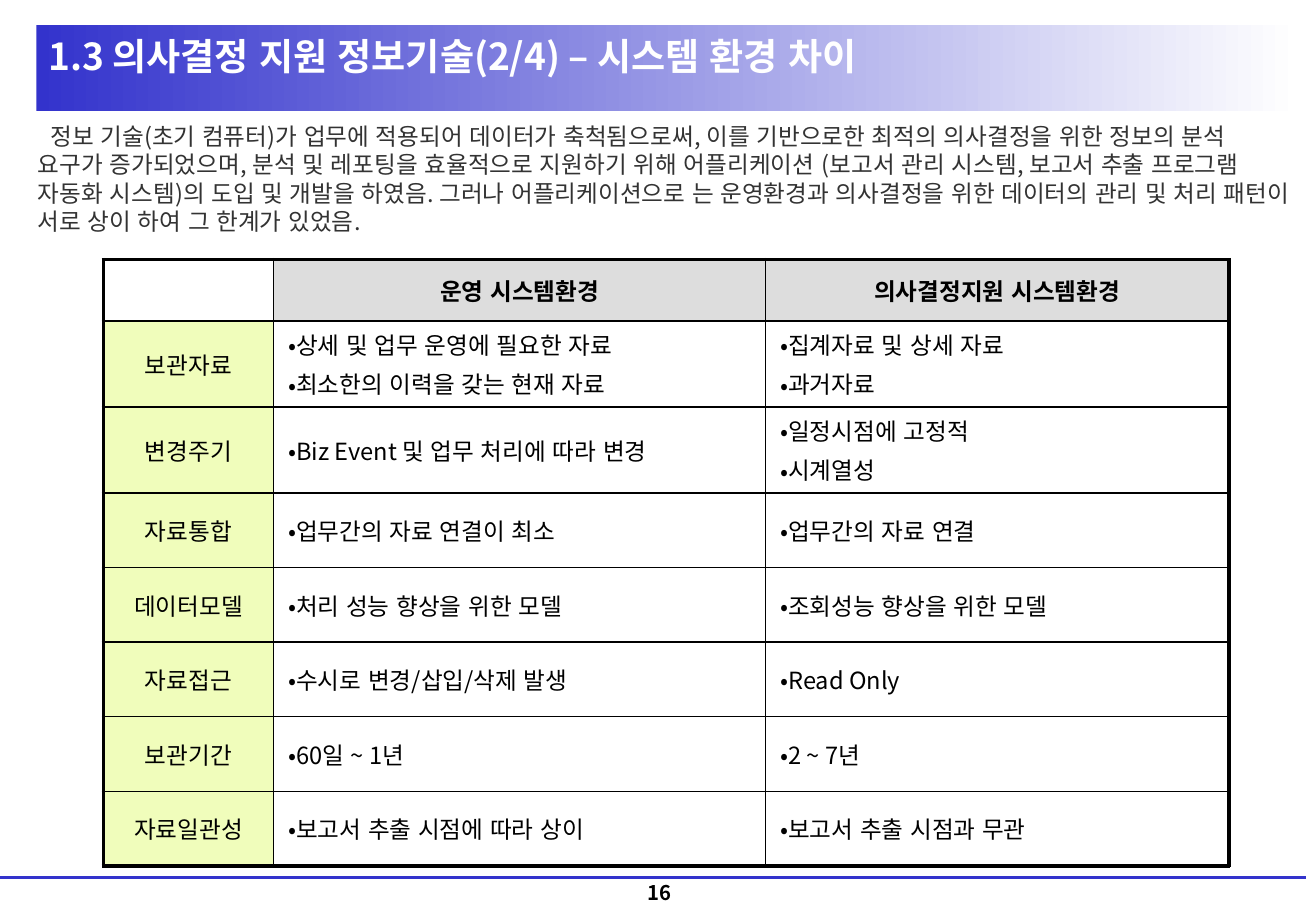
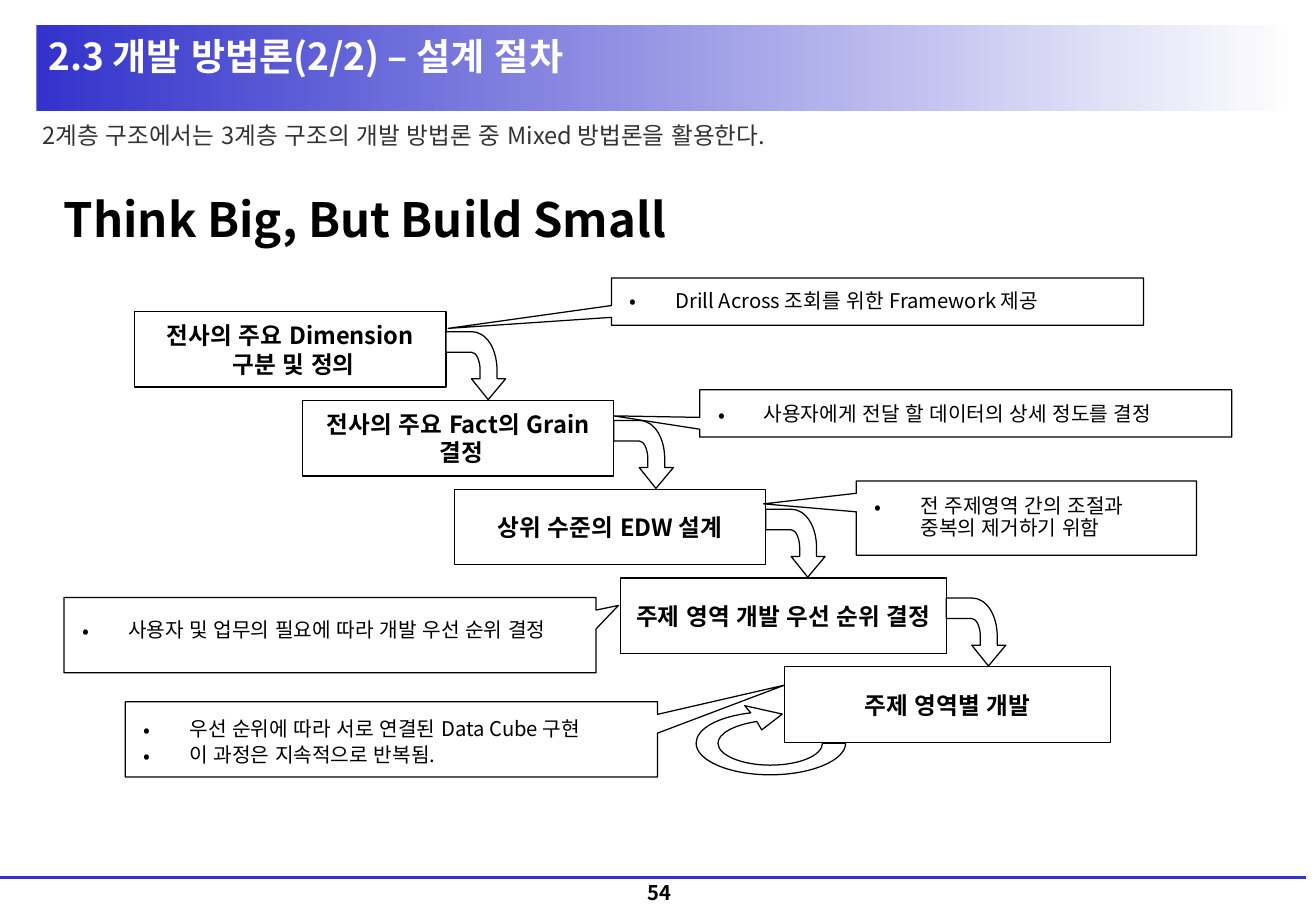
from collections import namedtuple
from dataclasses import dataclass

from lxml import etree
from pptx import Presentation
from pptx.dml.color import RGBColor
from pptx.enum import lang, shapes, text
from pptx.oxml import ns
from pptx.util import Pt

Box = namedtuple("Box", "x y w h")


@dataclass(frozen=True)
class Theme:
    font: str = "Noto Sans CJK KR"
    accent: str = "3333CC"
    paper: str = "FFFFFF"
    ink: str = "000000"
    body_ink: str = "333333"
    head_fill: str = "DDDDDD"
    label_fill: str = "F0FDBB"
    title: float = 22
    slogan: float = 28
    body: float = 14
    small: float = 12
    thin: float = 0.75
    grid: float = 1
    outer: float = 2.25


T = Theme()
LEFT, CENTER = text.PP_ALIGN.LEFT, text.PP_ALIGN.CENTER
TOP, MIDDLE, BOTTOM = (text.MSO_ANCHOR.TOP, text.MSO_ANCHOR.MIDDLE,
                       text.MSO_ANCHOR.BOTTOM)


def rgb(value):
    return RGBColor.from_string(value)


def pts(*values):
    return [Pt(v) for v in values]


def add_xml(parent, tag, **attributes):
    return etree.SubElement(parent, ns.qn(tag), attributes)


# ---- Text and shape helpers ----
def write(frame, lines, size, color=T.ink, bold=False, align=LEFT, anchor=TOP,
          inset=(7.2, 3.6, 7.2, 3.6), wrap=True, leading=None, gap=0,
          bullet=False, left=0, first=0):
    frame.text = "\n".join(lines)
    frame.word_wrap = wrap
    frame.vertical_anchor = anchor
    (frame.margin_left, frame.margin_top,
     frame.margin_right, frame.margin_bottom) = pts(*inset)
    for i, paragraph in enumerate(frame.paragraphs):
        properties = paragraph._p.get_or_add_pPr()
        properties.set("marL", str(Pt(left)))
        properties.set("indent", str(Pt(first)))
        if bullet:
            add_xml(properties, "a:buFont", typeface=T.font)
            add_xml(properties, "a:buChar", char="•")
        paragraph.alignment = align
        if leading:
            paragraph.line_spacing = Pt(leading)
        if i and gap:
            paragraph.space_before = Pt(gap)
        for run in paragraph.runs:
            run.font.size, run.font.bold = Pt(size), bold
            run.font.color.rgb = rgb(color)
            run.font.name = T.font
            run.font.language_id = lang.MSO_LANGUAGE_ID.KOREAN
            add_xml(run._r.get_or_add_rPr(), "a:ea", typeface=T.font)


def add_text(slide, box, lines, size, **style):
    write(slide.shapes.add_textbox(*pts(*box)).text_frame, lines, size, **style)


def outline(shape):
    shape.shadow.inherit = False
    shape.fill.solid()
    shape.fill.fore_color.rgb = rgb(T.paper)
    shape.line.color.rgb = rgb(T.ink)
    shape.line.width = Pt(T.thin)


def add_outlined(slide, kind, box):
    shape = slide.shapes.add_shape(kind, *pts(*box))
    outline(shape)
    return shape


def add_curve(slide, x, y, steps):
    """Draw a closed outline; six numbers in a step make a Bezier curve."""
    points = [(Pt(x + step[k]), Pt(y + step[k + 1]))
              for step in steps for k in range(0, len(step), 2)]
    builder = slide.shapes.build_freeform(*points[0], scale=1.0)
    builder.add_line_segments(points[1:], close=True)
    shape = builder.convert_to_shape()
    outline(shape)
    # Join the three points of each curve into one segment
    segments = iter(shape._element.findall(".//" + ns.qn("a:lnTo")))
    for step in steps[1:]:
        segment = next(segments)
        if len(step) == 6:
            segment.tag = ns.qn("a:cubicBezTo")
            for _ in range(2):
                extra = next(segments)
                segment.append(extra[0])
                extra.getparent().remove(extra)


# ---- Shared frame: title band, introduction, footer ----
def add_frame(deck, title, number, intro, intro_box):
    slide = deck.slides.add_slide(deck.slide_layouts[6])
    band = slide.shapes.add_shape(shapes.MSO_SHAPE.RECTANGLE, *pts(21.6, 15, 749, 51))
    band.shadow.inherit = False
    band.line.fill.background()
    band.fill.gradient()
    band.fill.gradient_angle = 0
    for stop, color in zip(band.fill.gradient_stops, (T.accent, T.paper)):
        stop.color.rgb = rgb(color)

    add_text(slide, Box(309.3, 519, 163, 21), [number], T.small, bold=True,
             align=CENTER, anchor=BOTTOM)
    rule = slide.shapes.add_connector(shapes.MSO_CONNECTOR.STRAIGHT, *pts(774, 520, 0, 520))
    rule.line.color.rgb = rgb(T.accent)
    rule.line.width = Pt(1.5)
    add_xml(rule._element.spPr, "a:effectLst")

    add_text(slide, Box(21.6, 16, 626, 34.5), [title], T.title, color=T.paper,
             bold=True, anchor=MIDDLE)
    add_text(slide, intro_box, [intro], T.body, color=T.body_ink,
             inset=(0, 0, 0, 0), leading=16.8, first=7.5)
    return slide


# ---- Comparison table ----
def add_borders(cell, row, column, last_row, last_column):
    properties = cell._tc.get_or_add_tcPr()
    edges = {"L": column == 0, "R": column == last_column,
             "T": row == 0, "B": row == last_row}
    for i, (side, is_outer) in enumerate(edges.items()):
        width = T.outer if is_outer else T.grid
        line = add_xml(properties, f"a:ln{side}", w=str(Pt(width)))
        add_xml(add_xml(line, "a:solidFill"), "a:srgbClr", val=T.ink)
        properties.insert(i, line)


def add_comparison(slide, box, rows, widths, heights):
    table = slide.shapes.add_table(len(rows), len(widths), *pts(*box)).table
    table.first_row = table.horz_banding = False
    for column, width in zip(table.columns, widths):
        column.width = Pt(width)
    for r, (row, height) in enumerate(zip(rows, heights)):
        table.rows[r].height = Pt(height)
        for c, content in enumerate(row):
            cell = table.cell(r, c)
            is_head, is_label = r == 0, c == 0
            write(cell.text_frame, content.split("\n"), T.body, bold=is_head,
                  align=CENTER if is_head or is_label else LEFT, gap=2.8,
                  bullet=not (is_head or is_label))
            cell.vertical_anchor = MIDDLE
            (cell.margin_left, cell.margin_top,
             cell.margin_right, cell.margin_bottom) = pts(8.6, 3.6, 8.6, 3.6)
            if is_head != is_label:
                cell.fill.solid()
                cell.fill.fore_color.rgb = rgb(T.head_fill if is_head else T.label_fill)
            else:
                cell.fill.background()
            add_borders(cell, r, c, len(rows) - 1, len(widths) - 1)


COMPARISON = [
    ("", "운영 시스템환경", "의사결정지원 시스템환경"),
    ("보관자료", "상세 및 업무 운영에 필요한 자료\n최소한의 이력을 갖는 현재 자료",
     "집계자료 및 상세 자료\n과거자료"),
    ("변경주기", "Biz Event 및 업무 처리에 따라 변경", "일정시점에 고정적\n시계열성"),
    ("자료통합", "업무간의 자료 연결이 최소", "업무간의 자료 연결"),
    ("데이터모델", "처리 성능 향상을 위한 모델", "조회성능 향상을 위한 모델"),
    ("자료접근", "수시로 변경/삽입/삭제 발생", "Read Only"),
    ("보관기간", "60일 ~ 1년", "2 ~ 7년"),
    ("자료일관성", "보고서 추출 시점에 따라 상이", "보고서 추출 시점과 무관"),
]


# ---- Design procedure: staircase, arrows, callouts ----
STEP_ARROW = [
    (25, 40.3), (35.3, 28), (30.2, 28), (30.2, 23), (30.2, 10, 23.8, 0, 15.1, 0),
    (0, 0), (0, 12.2), (15.1, 12.2), (18, 12.2, 20.2, 17.3, 20.2, 23),
    (20.2, 28), (15.1, 28),
]
LOOP_ARROW = [
    (36, 9.4), (22.3, 11.5, 13, 16.6, 13, 22.3), (13, 29.5, 27.4, 35.3, 43.9, 35.3),
    (61.2, 35.3, 74.9, 29.5, 74.9, 22.3), (88.6, 22.3),
    (88.6, 32.4, 68.4, 41, 43.9, 41), (19.4, 41, 0, 32.4, 0, 22.3),
    (0, 13.7, 13, 6.5, 32.4, 4.3), (28.8, 0), (51.1, 5), (38.9, 14.4),
]
# left offset, width, lines
STEPS = [
    (0, 184.5, ["전사의 주요 Dimension", " 구분 및 정의"]),
    (99.4, 184.5, ["전사의 주요 Fact의 Grain", " 결정"]),
    (189.4, 184.5, ["상위 수준의 EDW 설계"]),
    (288, 193, ["주제 영역 개발 우선 순위 결정"]),
    (385.2, 193, ["주제 영역별 개발"]),
]
# box, pointer, text offset from the top, lines
CALLOUTS = [
    (Box(362.4, 164.8, 315.4, 28), (-0.807, 0.567), 7.2,
     ["Drill Across 조회를 위한 Framework 제공"]),
    (Box(414.7, 231.1, 315.4, 28), (-0.662, 0.051), 8.4,
     ["사용자에게 전달 할 데이터의 상세 정도를 결정"]),
    (Box(507.6, 285.1, 201.6, 44), (-0.773, -0.191), 8.6,
     ["전 주제영역 간의 조절과 중복의 제거하기 위함"]),
    (Box(37.9, 354.2, 315.4, 44.6), (0.542, -0.394), 13,
     ["사용자 및 업무의 필요에 따라 개발 우선 순위 결정"]),
    (Box(74.3, 416, 315.4, 44.6), (0.739, -0.723), 10.1,
     ["우선 순위에 따라 서로 연결된 Data Cube 구현", "이 과정은 지속적으로 반복됨."]),
]


def add_staircase(slide, box, step_height=44.7):
    drop = (box.h - step_height) / (len(STEPS) - 1)
    places = [Box(box.x + offset, box.y + i * drop, width, step_height)
              for i, (offset, width, _) in enumerate(STEPS)]
    for place, (_, _, lines) in zip(places, STEPS):
        step = add_outlined(slide, shapes.MSO_SHAPE.RECTANGLE, place)
        write(step.text_frame, lines, T.body, bold=True, align=CENTER,
              anchor=MIDDLE, wrap=False, leading=16.8)
    for place in places[:-1]:
        add_curve(slide, place.x + place.w, place.y + 11.8, STEP_ARROW)
    last = places[-1]
    add_curve(slide, last.x - 52.5, last.y + 23, LOOP_ARROW)


def add_callout(slide, box, pointer, text_top, lines):
    callout = add_outlined(slide, shapes.MSO_SHAPE.RECTANGULAR_CALLOUT, box)
    callout.adjustments[0], callout.adjustments[1] = pointer
    label = Box(box.x + 11, box.y + text_top, box.w - 26, 15.5 * len(lines))
    add_text(slide, label, lines, T.small, inset=(0, 0, 0, 0),
             leading=13, gap=2.4, bullet=True, left=27, first=-27)


# ---- Slides ----
def comparison_slide(deck):
    slide = add_frame(
        deck, "1.3 의사결정 지원 정보기술(2/4) – 시스템 환경 차이", "16",
        "정보 기술(초기 컴퓨터)가 업무에 적용되어 데이터가 축척됨으로써, 이를 기반으로한 최적의 "
        "의사결정을 위한 정보의 분석 요구가 증가되었으며, 분석 및 레포팅을 효율적으로 지원하기 위해 "
        "어플리케이션 (보고서 관리 시스템, 보고서 추출 프로그램 자동화 시스템)의 도입 및 개발을 하였음. "
        "그러나 어플리케이션으로 는 운영환경과 의사결정을 위한 데이터의 관리 및 처리 패턴이 서로 상이 "
        "하여 그 한계가 있었음.", Box(22.3, 72.2, 743, 74))
    add_comparison(slide, Box(61.2, 153.8, 667.2, 359.5), COMPARISON,
                   widths=[101, 291.7, 274.5], heights=[36.5] + [51] * 2 + [44.2] * 5)


def procedure_slide(deck):
    slide = add_frame(
        deck, "2.3 개발 방법론(2/2) – 설계 절차", "54",
        "2계층 구조에서는 3계층 구조의 개발 방법론 중 Mixed 방법론을 활용한다.",
        Box(17.6, 71.8, 743, 74))
    add_text(slide, Box(30.8, 109.2, 379, 41), ["Think Big, But Build Small"],
             T.slogan, bold=True, anchor=MIDDLE, wrap=False)
    add_staircase(slide, Box(79.9, 184.8, 578, 255.2))
    for callout in CALLOUTS:
        add_callout(slide, *callout)


def main():
    deck = Presentation()
    deck.slide_width, deck.slide_height = pts(780, 540)
    comparison_slide(deck)
    procedure_slide(deck)
    deck.save("out.pptx")


if __name__ == "__main__":
    main()
